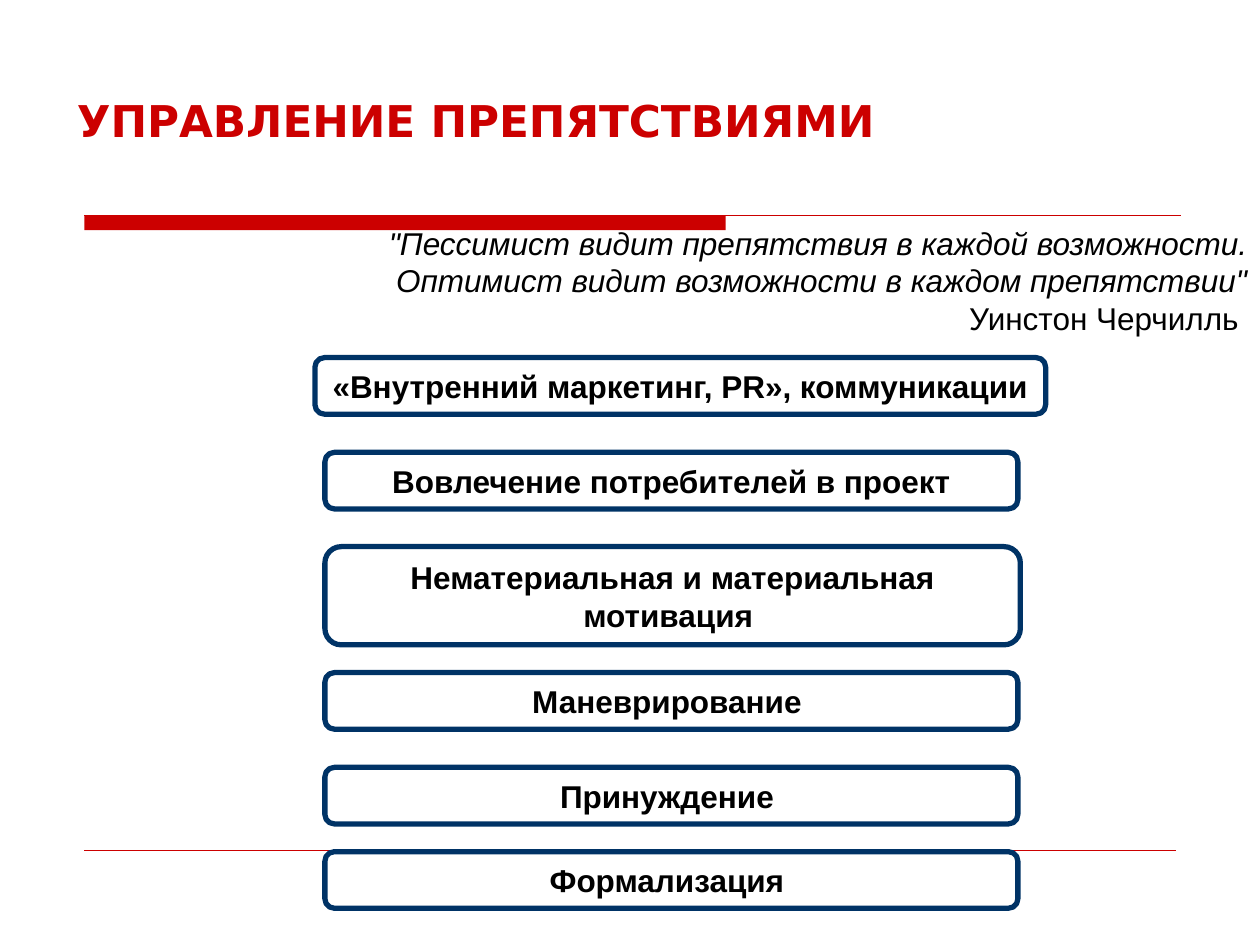
"""Build the slide on managing obstacles: a title, a quotation and six measures."""

from pptx import Presentation
from pptx.dml.color import RGBColor
from pptx.enum.shapes import MSO_CONNECTOR as Connector, MSO_SHAPE as Shape
from pptx.enum.text import MSO_ANCHOR as Anchor, PP_ALIGN as Align
from pptx.oxml.ns import qn
from pptx.util import Cm, Pt
from lxml.etree import SubElement

TITLE = "УПРАВЛЕНИЕ ПРЕПЯТСТВИЯМИ"
QUOTE = [
    ('"Пессимист видит препятствия в каждой возможности.', True),
    ('Оптимист видит возможности в каждом препятствии"', True),
    ("Уинстон Черчилль ", False),
]
LEFT, WIDTH, HEIGHT = 6.55, 13.97, 1.14
MEASURES = [
    ("«Внутренний маркетинг, PR», коммуникации", 6.35, 7.21, 14.73, HEIGHT),
    ("Вовлечение потребителей в проект", LEFT, 9.12, WIDTH, HEIGHT),
    ("Нематериальная и материальная мотивация ", LEFT, 11.02, 14.02, 1.98),
    ("Маневрирование ", LEFT, 13.56, WIDTH, HEIGHT),
    ("Принуждение ", LEFT, 15.47, WIDTH, HEIGHT),
    ("Формализация ", LEFT, 17.17, WIDTH, HEIGHT),
]
RULES = [(4.34, 23.8, 0.75), (17.15, 23.7, 0.25)]
RULE_LEFT = 1.7

THEME = {
    "red": RGBColor(0xCC, 0x00, 0x00),
    "navy": RGBColor(0x00, 0x33, 0x66),
    "white": RGBColor(0xFF, 0xFF, 0xFF),
    "title": {"name": "DejaVu Sans", "size": Pt(25), "bold": True},
    "measure": {"name": "Arial", "size": Pt(18), "bold": True},
    "quote": {"name": "Arial", "size": Pt(18), "bold": False},
    "black": RGBColor(0x00, 0x00, 0x00),
}
INSETS = {
    "margin_left": Cm(0.25),
    "margin_right": Cm(0.25),
    "margin_top": Cm(0.13),
    "margin_bottom": Cm(0.13),
}


def apply(target, values):
    for name, value in values.items():
        setattr(target, name, value)


def write(para, text, style, color, align, **extra):
    para.alignment = align
    span = para.add_run()
    span.text = text
    apply(span.font, {**THEME[style], **extra})
    span.font.color.rgb = THEME[color]


def set_frame(frame, anchor, wrap):
    apply(frame, {**INSETS, "vertical_anchor": anchor, "word_wrap": wrap})


def add_rules(page):
    for top, right, weight in RULES:
        rule = page.shapes.add_connector(
            Connector.STRAIGHT, Cm(RULE_LEFT), Cm(top), Cm(right), Cm(top))
        rule.line.color.rgb = THEME["red"]
        rule.line.width = Pt(weight)
        SubElement(rule.element.spPr, qn("a:effectLst"))
    bar = page.shapes.add_shape(
        Shape.RECTANGLE, Cm(RULE_LEFT), Cm(RULES[0][0]), Cm(12.93), Cm(0.3))
    bar.shadow.inherit = False
    bar.fill.solid()
    bar.fill.fore_color.rgb = THEME["red"]
    bar.line.fill.background()


def add_title(page):
    title = page.shapes.title
    apply(title, {"left": Cm(1.3), "top": Cm(0.53), "width": Cm(20.12), "height": Cm(2.54)})
    set_frame(title.text_frame, Anchor.BOTTOM, True)
    write(title.text_frame.paragraphs[0], TITLE, "title", "red", Align.LEFT)


def add_measure(page, text, *place):
    box = page.shapes.add_shape(
        Shape.FLOWCHART_ALTERNATE_PROCESS, *(Cm(length) for length in place))
    box.shadow.inherit = False
    box.fill.solid()
    box.fill.fore_color.rgb = THEME["white"]
    box.line.color.rgb = THEME["navy"]
    box.line.width = Pt(3)
    set_frame(box.text_frame, Anchor.MIDDLE, True)
    write(box.text_frame.paragraphs[0], text, "measure", "black", Align.CENTER)


def add_quote(page):
    box = page.shapes.add_textbox(Cm(7.52), Cm(4.4), Cm(17.88), Cm(2.5))
    frame = box.text_frame
    set_frame(frame, Anchor.MIDDLE, False)
    for index, (text, italic) in enumerate(QUOTE):
        para = frame.add_paragraph() if index else frame.paragraphs[0]
        write(para, text, "quote", "black", Align.RIGHT, italic=italic)


def main():
    deck = Presentation()
    apply(deck, {"slide_width": Cm(25.4), "slide_height": Cm(19.05)})
    page = deck.slides.add_slide(deck.slide_layouts[5])
    add_rules(page)
    add_title(page)
    for measure in MEASURES:
        add_measure(page, *measure)
    add_quote(page)
    deck.save("out.pptx")


if __name__ == "__main__":
    main()
